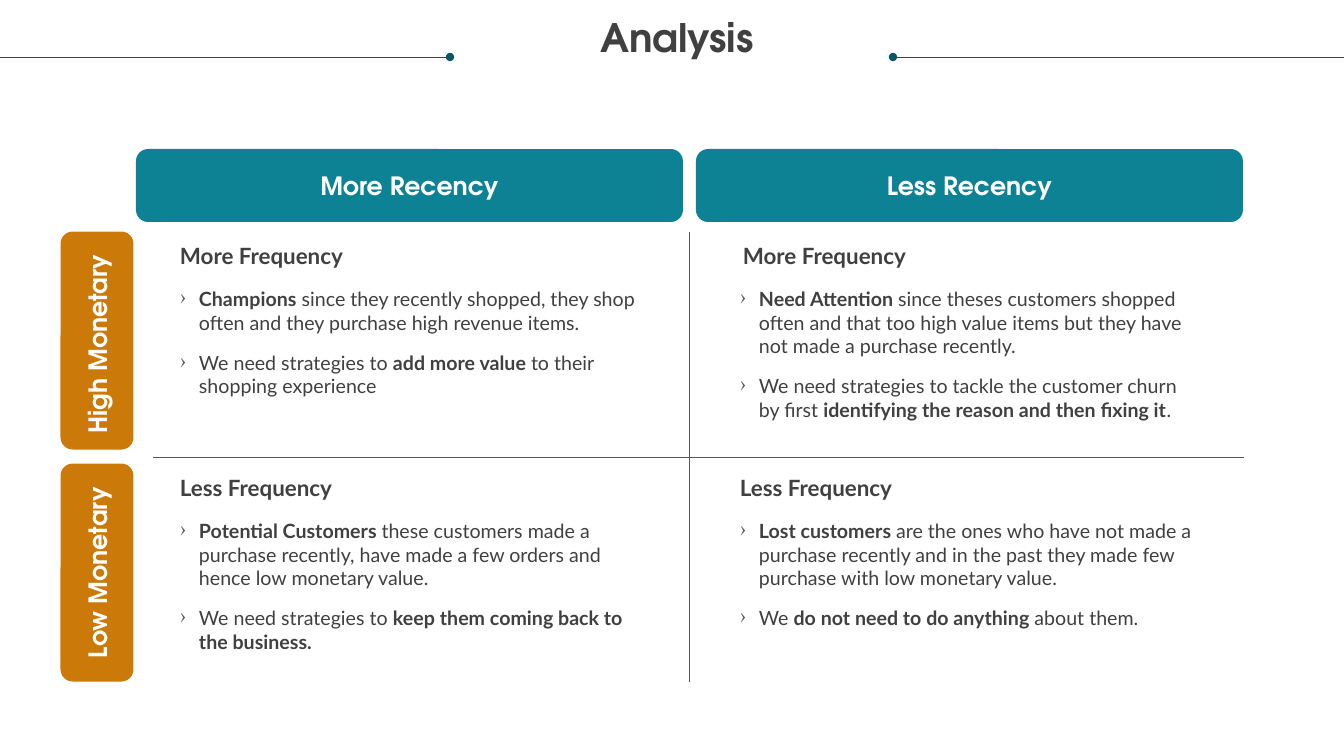
from lxml.etree import SubElement
from pptx import Presentation
from pptx.dml.color import RGBColor
from pptx.enum.shapes import MSO_CONNECTOR as CONNECTOR, MSO_SHAPE as SHAPE
from pptx.enum.text import MSO_ANCHOR as ANCHOR, PP_ALIGN as ALIGN
from pptx.oxml.ns import qn
from pptx.util import Pt

PX = 914400 / 100.8
TEAL = RGBColor(0x0D, 0x82, 0x95)
DARK_TEAL = RGBColor(0x08, 0x57, 0x64)
ORANGE = RGBColor(0xCB, 0x7A, 0x09)
INK = RGBColor(0x40, 0x40, 0x40)
GRAY = RGBColor(0x58, 0x58, 0x58)
WHITE = RGBColor(0xFF, 0xFF, 0xFF)
DISPLAY, BODY = "TeX Gyre Adventor", "Lato"

COLUMNS = ["More Recency", "Less Recency"]
ROWS = ["High Monetary ", "Low Monetary"]
QUADRANTS = [
    (0, 0, 180, "More Frequency", [
        "*Champions* since they recently shopped, they shop often and they "
        "purchase high revenue items.",
        "We need strategies to *add more value *to their shopping experience"]),
    (0, 1, 743, "More Frequency", [
        "*Need Attention *since theses customers shopped often and that too "
        "high value items but they have not made a purchase recently.",
        "We need strategies to tackle the customer churn by first "
        "*identifying the reason and then fixing it*."]),
    (1, 0, 180, "Less Frequency", [
        "*Potential Customers *these customers made a purchase recently, "
        "have made a few orders and hence low monetary value.",
        "We need strategies to *keep them coming back to the business.*"]),
    (1, 1, 740, "Less Frequency", [
        "*Lost customers *are the ones who have not made a purchase recently "
        "and in the past they made few purchase with low monetary value.",
        "We *do not need to do anything *about them."]),
]


def px(*lengths):
    """Turn pixel lengths into EMU."""
    return [round(length * PX) for length in lengths]


def add_bullet(paragraph):
    """Give a paragraph a hanging angle-quote bullet."""
    indent = px(19)[0]
    properties = paragraph._p.get_or_add_pPr()
    properties.set("marL", str(indent))
    properties.set("indent", str(-indent))
    color = SubElement(properties, qn("a:buClr"))
    SubElement(color, qn("a:srgbClr"), val=str(GRAY))
    SubElement(properties, qn("a:buChar"), char="›")


def write(frame, paragraphs, size, font=BODY, color=INK, bold=True,
          align=ALIGN.LEFT, bullets=False, before=0, spacing=1.0):
    """Fill a text frame; asterisks switch the bold setting."""
    frame.word_wrap = True
    for number, content in enumerate(paragraphs):
        paragraph = frame.add_paragraph() if number else frame.paragraphs[0]
        paragraph.alignment = align
        paragraph.line_spacing = spacing
        paragraph.space_before = Pt(before)
        if bullets:
            add_bullet(paragraph)
        for part, words in enumerate(content.split("*")):
            if words:
                run = paragraph.add_run()
                run.text = words
                run.font.name, run.font.size = font, Pt(size)
                run.font.bold = bold != (part % 2 == 1)
                run.font.color.rgb = color


def add_text(slide, box, paragraphs, size, **style):
    """Add a text box without margins."""
    frame = slide.shapes.add_textbox(*px(*box)).text_frame
    frame.margin_left = frame.margin_right = 0
    frame.margin_top = frame.margin_bottom = 0
    write(frame, paragraphs, size, **style)


def add_header(slide, box, label, fill, rotation=0):
    """Add a rounded header bar with a centred label."""
    bar = slide.shapes.add_shape(SHAPE.ROUNDED_RECTANGLE, *px(*box))
    bar.shadow.inherit = False
    bar.fill.solid()
    bar.fill.fore_color.rgb = fill
    bar.line.fill.background()
    bar.rotation = rotation
    bar.text_frame.vertical_anchor = ANCHOR.MIDDLE
    write(bar.text_frame, [label], 18, font=DISPLAY, color=WHITE,
          align=ALIGN.CENTER)


def add_rule(slide, ends, color, dotted_end=None):
    """Add a thin line, with an oval at the named end if any."""
    rule = slide.shapes.add_connector(CONNECTOR.STRAIGHT, *px(*ends))
    rule.line.color.rgb = color
    rule.line.width = Pt(0.5)
    if dotted_end:
        SubElement(rule.line._get_or_add_ln(), qn(dotted_end), type="oval")
    SubElement(rule._element.spPr, qn("a:effectLst"))


def main():
    """Build the slide and save it."""
    deck = Presentation()
    deck.slide_width, deck.slide_height = px(1344, 756)
    slide = deck.slides.add_slide(deck.slide_layouts[6])

    add_rule(slide, (893, 57, 1344, 57), DARK_TEAL, "a:headEnd")
    add_rule(slide, (0, 57, 450, 57), DARK_TEAL, "a:tailEnd")
    add_text(slide, (25, 19, 1293, 74), [" Analysis"], 28, font=DISPLAY,
             align=ALIGN.CENTER, spacing=0.9)

    for column, label in enumerate(COLUMNS):
        add_header(slide, (136 + 560 * column, 149, 547, 73), label, TEAL)
    for row, label in enumerate(ROWS):
        add_header(slide, (-12, 304 + 232 * row, 218, 73), label, ORANGE, 270)

    add_rule(slide, (153, 457, 1244, 457), GRAY)
    add_rule(slide, (689, 232, 689, 682), GRAY)

    for row, column, heading_left, heading, points in QUADRANTS:
        top = 242 + 232 * row
        add_text(slide, (heading_left, top, 459, 27), [heading], 16)
        add_text(slide, (180 + 560 * column, top + 45, 459, 136), points, 14,
                 bold=False, bullets=True, before=12)

    deck.save("out.pptx")


if __name__ == "__main__":
    main()
